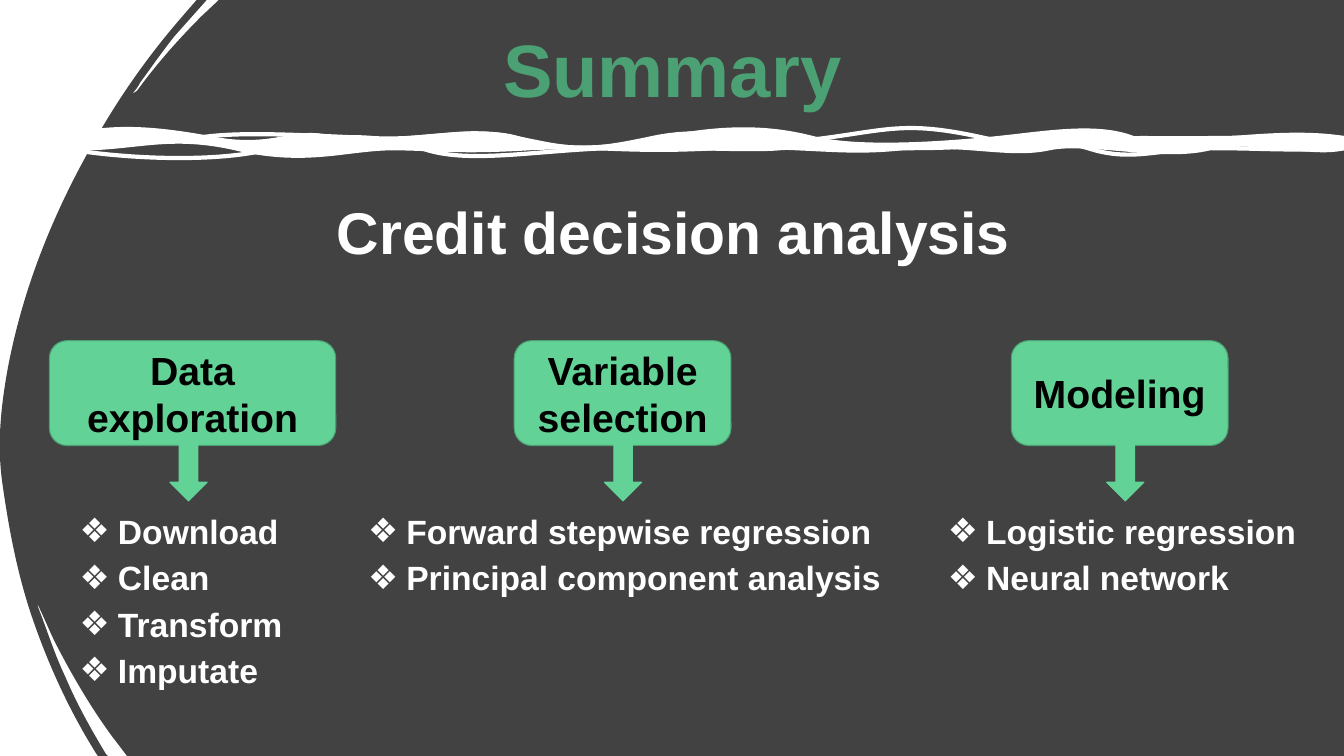
from lxml import etree
from pptx import Presentation
from pptx.dml.color import RGBColor
from pptx.enum import shapes, text
from pptx.oxml import ns
from pptx.util import Inches, Pt

DARK = RGBColor(0x42, 0x42, 0x42)
GREEN = RGBColor(0x63, 0xD2, 0x97)
DEEP_GREEN = RGBColor(0x4B, 0xA1, 0x73)
WHITE = RGBColor(0xFF, 0xFF, 0xFF)
BLACK = RGBColor(0, 0, 0)
FONT = "Arial"

# Outlines: a pair is a straight step, six numbers are a cubic curve
BRUSH = [
    (13.34, 0), (2.17, 0), (2, 0.16),
    (1.76, 0.4, 1.55, 0.64, 1.36, 0.9), (1.35, 0.91, 1.33, 0.92, 1.31, 0.93),
    (1.34, 0.9, 1.37, 0.86, 1.39, 0.82), (1.5, 0.67, 1.61, 0.51, 1.73, 0.36),
    (2.05, 0), (1.95, 0), (1.76, 0.22),
    (1.41, 0.63, 1.12, 1.06, 0.88, 1.5), (0.49, 2.2, 0.22, 2.91, 0.08, 3.64),
    (0.01, 4.02, -0.03, 4.39, 0.02, 4.77), (0.08, 5.2, 0.16, 5.64, 0.3, 6.07),
    (0.46, 6.55, 0.67, 7.02, 0.95, 7.47), (0.97, 7.5), (1.07, 7.5), (1.05, 7.48),
    (0.9, 7.23, 0.76, 6.98, 0.65, 6.72), (0.54, 6.49, 0.47, 6.26, 0.38, 6.03),
    (0.38, 6.02, 0.37, 6.01, 0.37, 5.99), (0.44, 6.13, 0.49, 6.26, 0.55, 6.38),
    (0.71, 6.69, 0.89, 7, 1.1, 7.29), (1.26, 7.5), (13.34, 7.5),
]
# Waves are measured from the left top corner of the divider
WAVE_OUTLINE = [
    (0, 0), (0.36, 0.01, 0.94, 0.07, 1.33, 0), (1.73, -0.07, 2.34, -0.03, 3.05, 0),
    (3.75, 0.03, 3.95, -0.12, 4.51, 0), (5.07, 0.12, 5.2, 0.14, 5.85, 0),
    (6.5, -0.14, 6.91, 0.09, 7.56, 0), (8.22, -0.09, 8.39, -0.17, 9.15, 0),
    (9.92, 0.17, 10.11, 0, 10.74, 0), (11.38, 0.01, 12.12, -0.02, 12.71, 0),
    (12.72, 0.04, 12.72, 0.07, 12.71, 0.1), (12.15, 0.13, 11.92, 0.1, 11.38, 0.1),
    (10.84, 0.11, 10.6, 0.24, 10.17, 0.1), (9.74, -0.03, 9.29, 0.1, 8.45, 0.1),
    (7.61, 0.11, 7.45, 0.08, 7.12, 0.1), (6.79, 0.13, 6.16, 0.08, 5.4, 0.1),
    (4.64, 0.13, 3.99, 0.26, 3.56, 0.1), (3.12, -0.05, 2.63, -0.04, 2.09, 0.1),
    (1.56, 0.25, 0.6, 0.21, 0, 0.1), (-0.01, 0.05, 0, 0.03, 0, 0),
]
WAVE_FILLED = [
    (0, 0), (0.41, -0.12, 0.81, -0.12, 1.46, 0), (2.11, 0.13, 2.29, -0.11, 2.67, 0),
    (3.04, 0.11, 4.07, -0.14, 4.51, 0), (4.95, 0.14, 5.43, 0.11, 5.97, 0),
    (6.52, -0.11, 6.98, -0.12, 7.44, 0), (7.9, 0.12, 8.8, 0.05, 9.28, 0),
    (9.76, -0.05, 10.26, -0.14, 10.62, 0), (10.97, 0.14, 11.97, -0.12, 12.71, 0),
    (12.71, 0.03, 12.71, 0.07, 12.71, 0.1), (12.37, 0.18, 11.84, -0.01, 11.38, 0.1),
    (10.92, 0.22, 10.19, 0.02, 9.79, 0.1), (9.39, 0.19, 8.96, 0.04, 8.33, 0.1),
    (7.69, 0.17, 7.36, 0.06, 6.48, 0.1), (5.6, 0.15, 5.29, 0.07, 4.64, 0.1),
    (3.98, 0.14, 3.79, 0.11, 3.3, 0.1), (2.81, 0.1, 2.43, 0.27, 1.71, 0.1),
    (1, -0.06, 0.68, 0.13, 0, 0.1), (-0.01, 0.06, -0.01, 0.05, 0, 0),
]

# Box label, box left and width, arrow centre, list left, width and height, items
COLUMNS = [
    ("Data exploration", 0.49, 2.84, 1.87, 0.57, 3.14, 1.9,
     ["Download", "Clean", "Transform", "Imputate"]),
    ("Variable selection", 5.1, 2.15, 6.18, 3.43, 5.75, 1.43,
     ["Forward stepwise regression", "Principal component analysis"]),
    ("Modeling", 10.03, 2.15, 11.16, 9.18, 3.82, 0.97,
     ["Logistic regression", "Neural network"]),
]


def paint(sp, fill, line=None, width=0.75):
    sp.shadow.inherit = False
    sp.fill.solid()
    sp.fill.fore_color.rgb = fill
    if line is None:
        sp.line.fill.background()
    else:
        sp.line.color.rgb = line
        sp.line.width = Pt(width)


def add_outline(s, contours, left, top, **look):
    """Draw contours as one freeform; all but the last are lines without fill."""
    def at(x, y):
        return Inches(left + x), Inches(top + y)

    builder = s.shapes.build_freeform(*at(*contours[0][0]))
    for i, steps in enumerate(contours):
        if i:
            builder.move_to(*at(*steps[0]))
        builder.add_line_segments([at(*step[-2:]) for step in steps[1:]], close=True)
    sp = builder.convert_to_shape()
    paint(sp, **look)

    # Bend the segments that have control points
    path = sp.element.find(".//" + ns.qn("a:path"))
    bends = [step for steps in contours for step in steps[1:]]
    for segment, step in zip(path.findall(ns.qn("a:lnTo")), bends):
        if len(step) == 6:
            segment.tag = ns.qn("a:cubicBezTo")
            for i in (0, 1):
                x, y = at(*step[2 * i:2 * i + 2])
                pt = etree.Element(ns.qn("a:pt"), x=str(x - sp.left), y=str(y - sp.top))
                segment.insert(i, pt)

    # Give each line contour a path of its own
    for steps in contours[:-1]:
        line_path = etree.Element(ns.qn("a:path"), w=path.get("w"), h=path.get("h"), fill="none")
        path.addprevious(line_path)
        for segment in list(path)[:len(steps) + 1]:
            line_path.append(segment)


def style_runs(p, size, color):
    for r in p.runs:
        r.font.name, r.font.size, r.font.bold = FONT, Pt(size), True
        r.font.color.rgb = color


def place(sp, left, top, width, height):
    """Move a placeholder to its box, in front of what is already drawn."""
    sp.left, sp.top = Inches(left), Inches(top)
    sp.width, sp.height = Inches(width), Inches(height)
    sp.element.getparent().append(sp.element)
    tf = sp.text_frame
    tf.word_wrap = True
    tf.margin_left = tf.margin_right = Inches(0.1)
    tf.margin_top = tf.margin_bottom = Inches(0.05)
    return tf


def set_bullet(p, char=None, left=0, indent=0):
    pPr = p._p.get_or_add_pPr()
    pPr.set("marL", str(Inches(left)))
    pPr.set("indent", str(Inches(indent)))
    if char is None:
        etree.SubElement(pPr, ns.qn("a:buNone"))
        return
    color = etree.SubElement(pPr, ns.qn("a:buClr"))
    etree.SubElement(color, ns.qn("a:srgbClr"), val=str(WHITE))
    etree.SubElement(pPr, ns.qn("a:buFont"), typeface=FONT)
    etree.SubElement(pPr, ns.qn("a:buChar"), char=char)


def heading(sp, words, left, top, size, color):
    tf = place(sp, left, top, 13.34, 1.32)
    tf.auto_size = text.MSO_AUTO_SIZE.NONE
    tf.vertical_anchor = text.MSO_ANCHOR.BOTTOM
    tf.text = words
    p = tf.paragraphs[0]
    p.alignment = text.PP_ALIGN.CENTER
    p.line_spacing, p.space_before, p.space_after = 1.5, Pt(0), Pt(8)
    set_bullet(p)
    style_runs(p, size, color)


def bullet_list(sp, items, left, top, width, height):
    tf = place(sp, left, top, width, height)
    tf.auto_size = text.MSO_AUTO_SIZE.SHAPE_TO_FIT_TEXT
    tf.vertical_anchor = text.MSO_ANCHOR.TOP
    tf.text = "\n".join(items)
    for p in tf.paragraphs:
        p.line_spacing, p.space_before = 1.15, Pt(0)
        set_bullet(p, "❖", 0.5, -0.38)
        style_runs(p, 24, WHITE)


def step_box(s, label, left, top, width, height):
    sp = s.shapes.add_shape(shapes.MSO_SHAPE.ROUNDED_RECTANGLE, Inches(left), Inches(top),
                            Inches(width), Inches(height))
    paint(sp, GREEN, DEEP_GREEN)
    tf = sp.text_frame
    tf.word_wrap = True
    tf.vertical_anchor = text.MSO_ANCHOR.MIDDLE
    tf.margin_left = tf.margin_right = tf.margin_top = tf.margin_bottom = Inches(0.1)
    tf.text = label
    tf.paragraphs[0].alignment = text.PP_ALIGN.CENTER
    style_runs(tf.paragraphs[0], 28, BLACK)


def down_arrow(s, center_x, center_y, length=0.56, breadth=0.37):
    sp = s.shapes.add_shape(shapes.MSO_SHAPE.RIGHT_ARROW, Inches(center_x - length / 2),
                            Inches(center_y - breadth / 2), Inches(length), Inches(breadth))
    sp.rotation = 90
    paint(sp, GREEN, GREEN)


def summary_slide(prs):
    s = prs.slides.add_slide(prs.slide_layouts[4])
    title, subtitle, *lists = list(s.placeholders)[:5]

    # Dark brushed background, title and wavy divider
    add_outline(s, [BRUSH], 0, 0, fill=DARK)
    heading(title, "Summary", 0, -0.16, 53, DEEP_GREEN)
    add_outline(s, [WAVE_OUTLINE, WAVE_FILLED], 0.62, 1.37, fill=WHITE, line=WHITE, width=3)
    heading(subtitle, "Credit decision analysis", 0.01, 1.37, 42, WHITE)

    # Three steps, each with a box, an arrow and a list
    for sp, column in zip(lists, COLUMNS):
        label, box_left, box_width, arrow_x, left, width, height, items = column
        step_box(s, label, box_left, 3.38, box_width, 1.04)
        bullet_list(sp, items, left, 4.96, width, height)
        down_arrow(s, arrow_x, 4.69)


if __name__ == "__main__":
    prs = Presentation()
    prs.slide_width, prs.slide_height = Inches(13.33), Inches(7.5)
    summary_slide(prs)
    prs.save("out.pptx")
